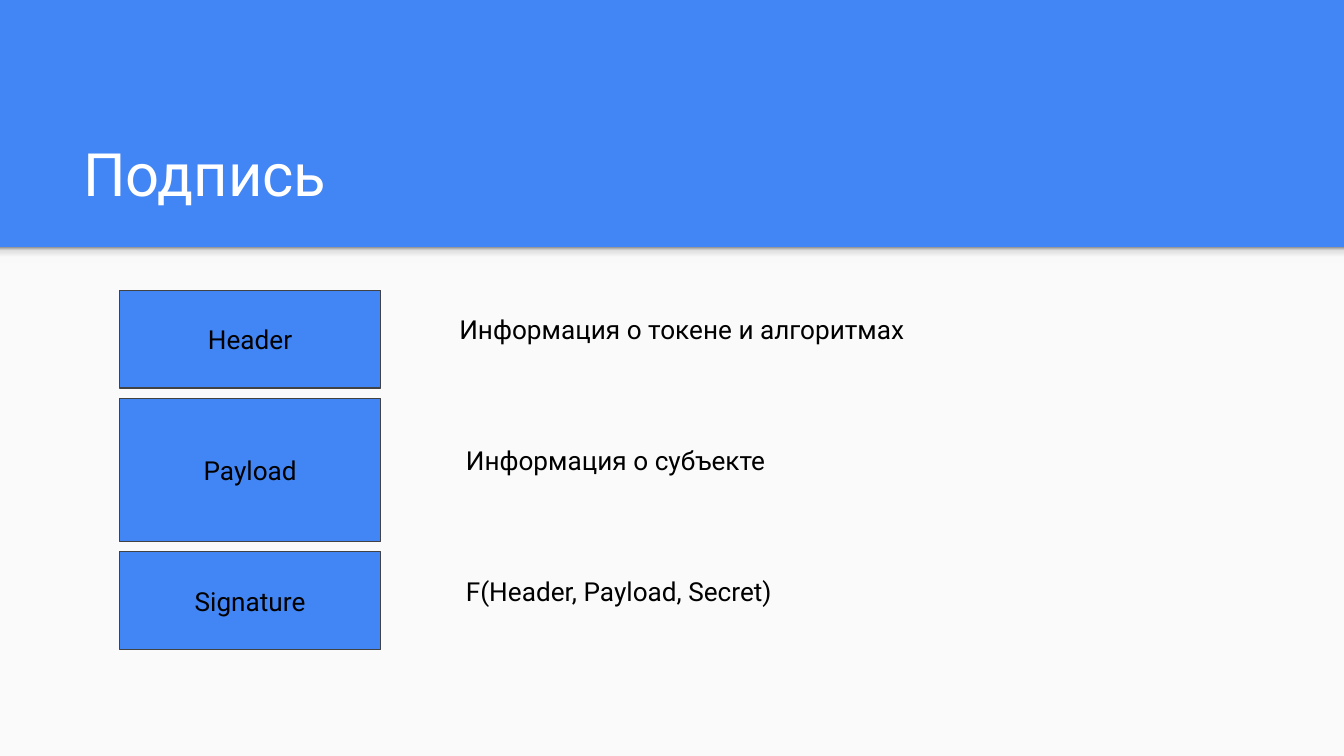
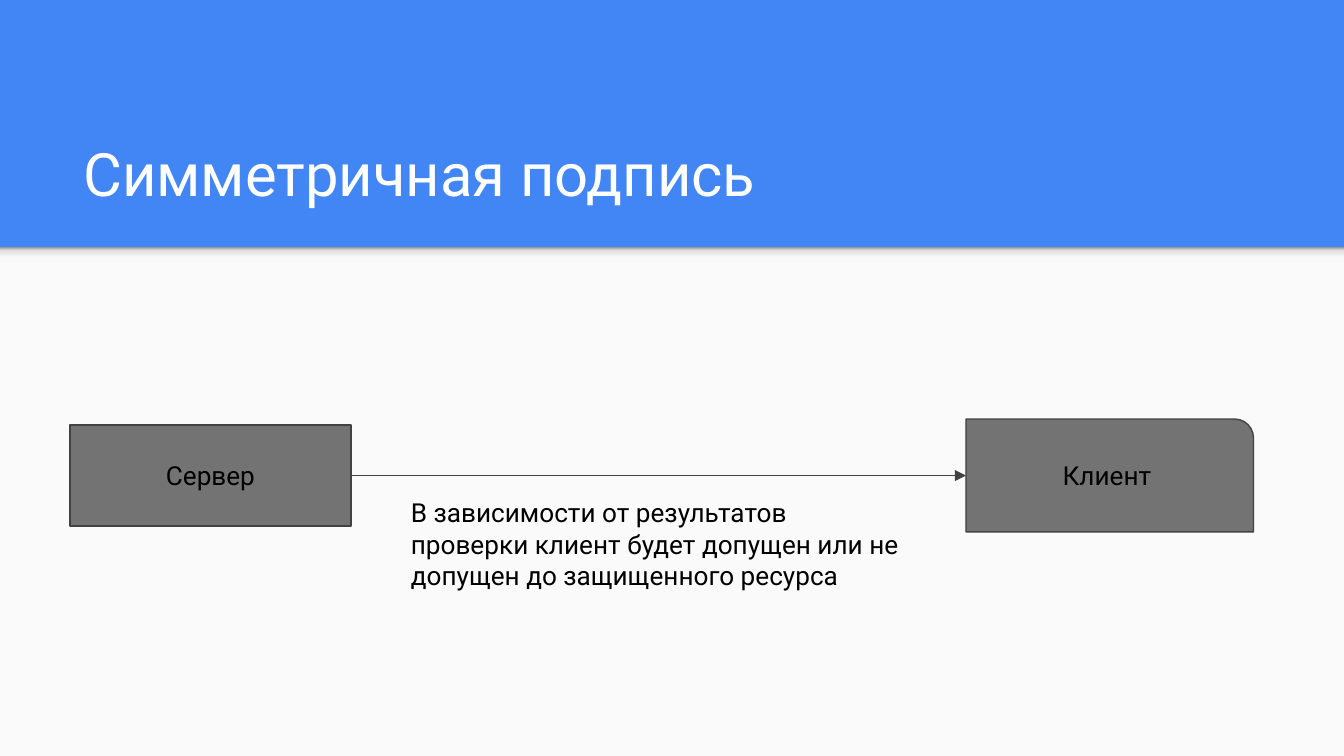
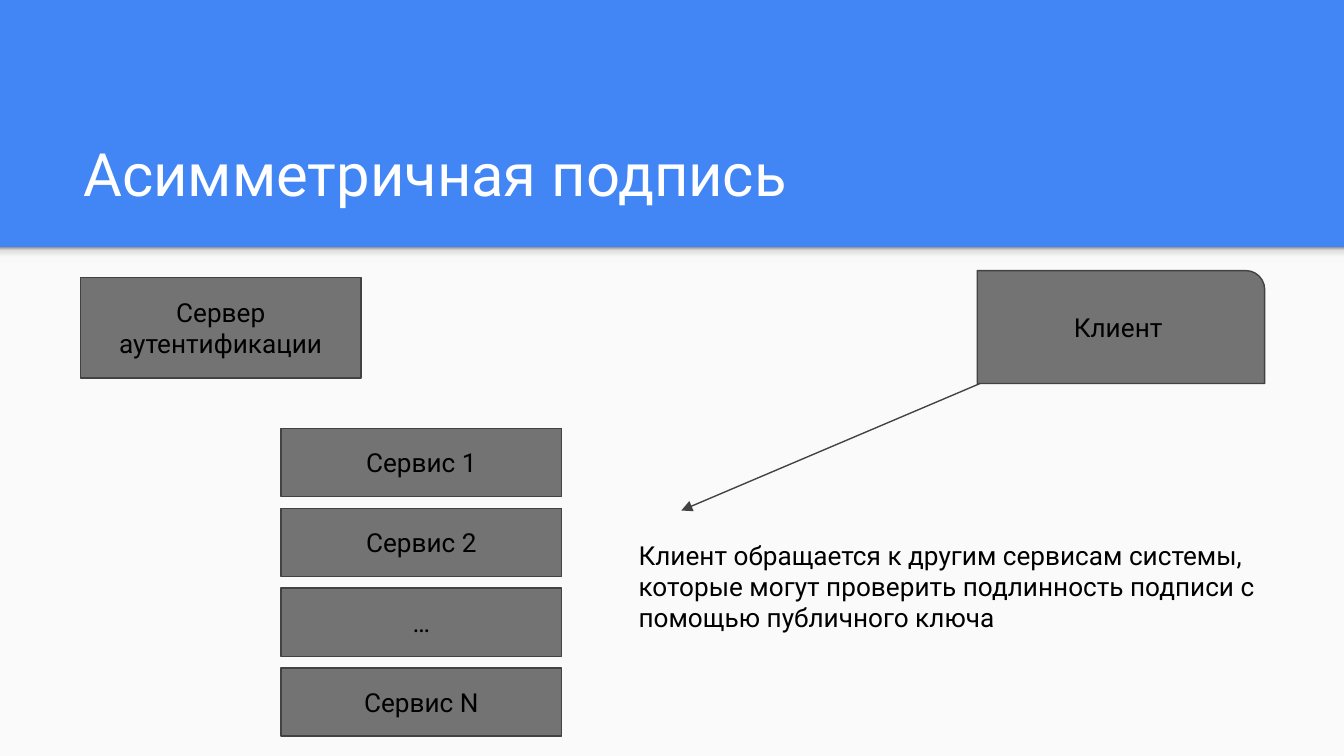
from lxml import etree
from pptx import Presentation
from pptx.dml.color import RGBColor
from pptx.enum.shapes import MSO_CONNECTOR, MSO_SHAPE
from pptx.enum.text import MSO_ANCHOR, PP_ALIGN
from pptx.oxml.ns import qn
from pptx.util import Pt

# Enum members
RECTANGLE = MSO_SHAPE.RECTANGLE
ROUND_CORNER = MSO_SHAPE.ROUND_1_RECTANGLE
STRAIGHT = MSO_CONNECTOR.STRAIGHT
TOP, MIDDLE, BOTTOM = MSO_ANCHOR.TOP, MSO_ANCHOR.MIDDLE, MSO_ANCHOR.BOTTOM
LEFT, CENTER = PP_ALIGN.LEFT, PP_ALIGN.CENTER

# Colours and font
BLUE = RGBColor(0x42, 0x85, 0xF4)
PAPER = RGBColor(0xFA, 0xFA, 0xFA)
GREY = RGBColor(0x73, 0x73, 0x73)
OUTLINE = RGBColor(0x42, 0x42, 0x42)
WHITE = RGBColor(0xFF, 0xFF, 0xFF)
BLACK = RGBColor(0x00, 0x00, 0x00)
SHADE_STOPS = [(0, "F9F9F9"), (36, "F9F9F9"), (80, "DEDEDE"), (100, "999999")]
FONT = "Roboto"

# Shared measures, in points
WIDTH, HEIGHT = 720, 405
BAND_HEIGHT = 132.5
SHADE_HEIGHT = 8.5
INSET = 7.2
LINE_WIDTH = 0.75
SERVER_SIZE = (150.5, 54)
CLIENT_SIZE = (154, 60.5)


def write_text(shape, text, size=14, color=BLACK, align=LEFT, anchor=TOP):
    frame = shape.text_frame
    frame.word_wrap = True
    frame.vertical_anchor = anchor
    frame.margin_left = frame.margin_right = Pt(INSET)
    frame.margin_top = frame.margin_bottom = Pt(INSET)
    paragraph = frame.paragraphs[0]
    paragraph.alignment = align
    run = paragraph.add_run()
    run.text = text
    run.font.name = FONT
    run.font.size = Pt(size)
    run.font.color.rgb = color


def add_label(slide, text, left, top, width, height, **text_format):
    box = slide.shapes.add_textbox(Pt(left), Pt(top), Pt(width), Pt(height))
    write_text(box, text, **text_format)


def add_plain_shape(slide, left, top, width, height, kind=RECTANGLE):
    shape = slide.shapes.add_shape(kind, Pt(left), Pt(top), Pt(width), Pt(height))
    shape.shadow.inherit = False
    shape.line.fill.background()
    return shape


def add_box(slide, text, left, top, width, height, color=GREY, kind=RECTANGLE):
    box = add_plain_shape(slide, left, top, width, height, kind)
    box.fill.solid()
    box.fill.fore_color.rgb = color
    box.line.color.rgb = OUTLINE
    box.line.width = Pt(LINE_WIDTH)
    write_text(box, text, align=CENTER, anchor=MIDDLE)


def add_arrow(slide, start_x, start_y, end_x, end_y):
    arrow = slide.shapes.add_connector(
        STRAIGHT, Pt(start_x), Pt(start_y), Pt(end_x), Pt(end_y))
    arrow.line.color.rgb = OUTLINE
    arrow.line.width = Pt(LINE_WIDTH)
    properties = arrow.element.spPr
    line = properties.find(qn("a:ln"))
    etree.SubElement(line, qn("a:tailEnd"), type="triangle")
    etree.SubElement(properties, qn("a:effectLst"))


def fill_with_shade(shape):
    """Fade from the band's dark edge, at the top, down to the paper."""
    shape.fill.gradient()
    shape.fill.gradient_angle = 90
    stops = shape.element.spPr.find(qn("a:gradFill")).find(qn("a:gsLst"))
    for stop in list(stops):
        stops.remove(stop)
    for percent, color in SHADE_STOPS:
        stop = etree.SubElement(stops, qn("a:gs"), pos=str(percent * 1000))
        etree.SubElement(stop, qn("a:srgbClr"), val=color)


def add_titled_slide(presentation, title):
    slide = presentation.slides.add_slide(presentation.slide_layouts[6])
    slide.background.fill.solid()
    slide.background.fill.fore_color.rgb = BLUE
    # Paper below the blue band, and the band's shade on it
    paper = add_plain_shape(slide, 0, BAND_HEIGHT, WIDTH, HEIGHT - BAND_HEIGHT)
    paper.fill.solid()
    paper.fill.fore_color.rgb = PAPER
    fill_with_shade(add_plain_shape(slide, 0, BAND_HEIGHT, WIDTH, SHADE_HEIGHT))
    add_label(slide, title, 37.5, 58.5, 647.5, 60.5,
              size=32, color=WHITE, anchor=BOTTOM)
    return slide


def add_client(slide, left, top):
    add_box(slide, "Клиент", left, top, *CLIENT_SIZE, kind=ROUND_CORNER)


def build_signature(presentation):
    slide = add_titled_slide(presentation, "Подпись")
    # Token parts, stacked with equal gaps
    top, gap = 155.5, 5.5
    for name, height in [("Header", 52.5), ("Payload", 76.5), ("Signature", 52.5)]:
        add_box(slide, name, 64, top, 140, height, color=BLUE)
        top += height + gap
    # What each part holds
    descriptions = [
        ("Информация о токене и алгоритмах", 239),
        ("Информация о субъекте", 242.5),
        ("F(Header, Payload, Secret)", 242.5),
    ]
    for row, (text, left) in enumerate(descriptions):
        add_label(slide, text, left, 160.5 + row * 70.2, 296, 42)


def build_symmetric(presentation):
    slide = add_titled_slide(presentation, "Симметричная подпись")
    server_left, client_left, middle = 37.5, 517.5, 254.75
    server_width, server_height = SERVER_SIZE
    add_box(slide, "Сервер", server_left, middle - server_height / 2, *SERVER_SIZE)
    add_client(slide, client_left, middle - CLIENT_SIZE[1] / 2)
    add_arrow(slide, server_left + server_width, middle, client_left, middle)
    add_label(slide, "В зависимости от результатов проверки клиент будет "
              "допущен или не допущен до защищенного ресурса",
              213, 259, 278.5, 77)


def build_asymmetric(presentation):
    slide = add_titled_slide(presentation, "Асимметричная подпись")
    add_box(slide, "Сервер аутентификации", 43, 148.5, *SERVER_SIZE)
    # Services, one row each
    for row, name in enumerate(["Сервис 1", "Сервис 2", "…", "Сервис N"]):
        add_box(slide, name, 150.5, 229.5 + row * 42.8, SERVER_SIZE[0], 36.5)
    # Client and its request
    add_client(slide, 523.5, 145)
    add_arrow(slide, 525, 205.5, 365, 273.5)
    add_label(slide, "Клиент обращается к другим сервисам системы, которые могут "
              "проверить подлинность подписи с помощью публичного ключа",
              335, 281.5, 358.5, 76.5)


def main():
    presentation = Presentation()
    presentation.slide_width = Pt(WIDTH)
    presentation.slide_height = Pt(HEIGHT)
    build_signature(presentation)
    build_symmetric(presentation)
    build_asymmetric(presentation)
    presentation.save("out.pptx")


if __name__ == "__main__":
    main()
